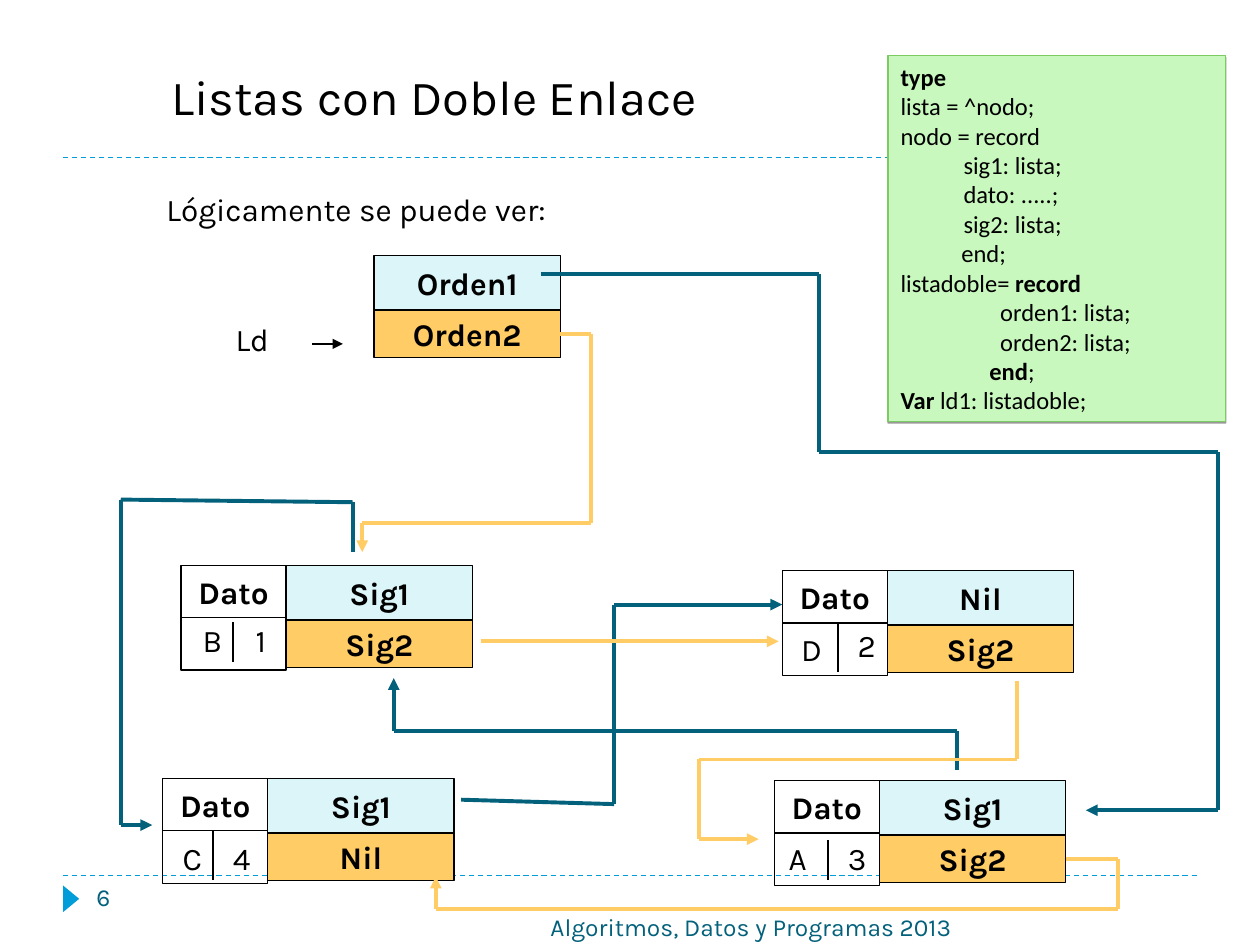
import dataclasses

import lxml.etree
import pptx
import pptx.dml.color
import pptx.enum.dml
import pptx.enum.shapes
import pptx.enum.text
import pptx.oxml.ns
import pptx.util

Pt = pptx.util.Pt
qn = pptx.oxml.ns.qn
ALIGN = pptx.enum.text.PP_ALIGN
ANCHOR = pptx.enum.text.MSO_ANCHOR
SHAPE = pptx.enum.shapes.MSO_SHAPE


@dataclasses.dataclass(frozen=True)
class Theme:
    font: str = "Karla"
    code_font: str = "Calibri"
    black: str = "000000"
    teal: str = "04617B"
    accent: str = "009DD9"
    amber: str = "FFCC66"
    aqua: str = "DBF5F9"
    code_fill: str = "C8F8BE"
    code_edge: str = "7CCA62"
    title: int = 28
    body: int = 18
    small: int = 14
    hairline: float = 0.75
    divider: float = 1
    link: float = 2.25


def rgb(value):
    return pptx.dml.color.RGBColor.from_string(value)


class Painter:
    def __init__(self, page, theme):
        self.page = page
        self.theme = theme

    def add_text(self, frame, paragraphs, size, color=None, align=ALIGN.LEFT, font=None):
        for index, spans in enumerate(paragraphs):
            para = frame.paragraphs[0] if index == 0 else frame.add_paragraph()
            para.alignment = align
            for text, bold in spans:
                span = para.add_run()
                span.text = text
                span.font.name = font or self.theme.font
                span.font.size = Pt(size)
                span.font.bold = bold
                span.font.color.rgb = rgb(color or self.theme.black)

    def title(self, text, left, top, width, height):
        box = self.page.shapes.title
        box.left, box.top, box.width, box.height = map(Pt, (left, top, width, height))
        box.text_frame.auto_size = pptx.enum.text.MSO_AUTO_SIZE.NONE
        box.text_frame.vertical_anchor = ANCHOR.MIDDLE
        self.add_text(box.text_frame, [[(text, False)]], self.theme.title)

    def label(self, text, left, top, width, height=29, size=None, color=None,
              align=ALIGN.LEFT, wrap=True):
        box = self.page.shapes.add_textbox(*map(Pt, (left, top, width, height)))
        box.text_frame.word_wrap = wrap
        self.add_text(box.text_frame, [[(text, False)]], size or self.theme.body, color, align)

    def shape(self, kind, left, top, width, height, fill=None, edge=None):
        box = self.page.shapes.add_shape(kind, *map(Pt, (left, top, width, height)))
        box.shadow.inherit = False
        if fill:
            box.fill.solid()
            box.fill.fore_color.rgb = rgb(fill)
        else:
            box.fill.background()
        if edge:
            box.line.color.rgb = rgb(edge)
            box.line.width = Pt(self.theme.hairline)
        else:
            box.line.fill.background()
        return box

    def cell(self, text, left, top, width, height, fill=None):
        box = self.shape(SHAPE.RECTANGLE, left, top, width, height, fill, self.theme.black)
        if text:
            box.text_frame.word_wrap = False
            box.text_frame.vertical_anchor = ANCHOR.MIDDLE
            self.add_text(box.text_frame, [[(text, True)]], self.theme.body, align=ALIGN.CENTER)

    def pair(self, first, second, left, top):
        self.cell(first, left, top, 106.5, 31.25, self.theme.aqua)
        self.cell(second, left, top + 31.25, 106.5, 27, self.theme.amber)

    def node(self, first, second, left, top):
        self.cell("Dato", left, top, 60, 30)
        self.cell(None, left, top + 30, 60, 30)
        self.pair(first, second, left + 60, top)

    def line(self, start, end, color, width, arrow=False, dashed=False):
        line = self.page.shapes.add_connector(
            pptx.enum.shapes.MSO_CONNECTOR.STRAIGHT, *map(Pt, (*start, *end)))
        line.line.color.rgb = rgb(color)
        line.line.width = Pt(width)
        if dashed:
            line.line.dash_style = pptx.enum.dml.MSO_LINE.DASH
        properties = line._element.spPr
        if arrow:
            outline = properties.find(qn("a:ln"))
            lxml.etree.SubElement(outline, qn("a:tailEnd"), type="triangle")
        lxml.etree.SubElement(properties, qn("a:effectLst"))

    def route(self, points, color):
        last = len(points) - 2
        for index, (start, end) in enumerate(zip(points, points[1:])):
            self.line(start, end, color, self.theme.link, arrow=index == last)

    def code(self, paragraphs, left, top, width, height):
        box = self.shape(SHAPE.RECTANGLE, left, top, width, height,
                         self.theme.code_fill, self.theme.code_edge)
        effects = box._element.spPr.find(qn("a:effectLst"))
        shadow = lxml.etree.SubElement(effects, qn("a:outerShdw"), blurRad="0",
                                       dist=str(int(Pt(1))), dir="5400000", rotWithShape="0")
        tint = lxml.etree.SubElement(shadow, qn("a:srgbClr"), val=self.theme.black)
        lxml.etree.SubElement(tint, qn("a:alpha"), val="40000")
        box.text_frame.word_wrap = True
        box.text_frame.vertical_anchor = ANCHOR.TOP
        self.add_text(box.text_frame, paragraphs, self.theme.small, font=self.theme.code_font)


CODE = [
    [("type", True)],
    [("lista = ^nodo;", False)],
    [("nodo = record", False)],
    [("\tsig1: lista;", False)],
    [("\tdato: .....;", False)],
    [("\tsig2: lista;", False)],
    [("           end;", False)],
    [("listadoble= ", False), ("record", True)],
    [("                  orden1: lista;", False)],
    [("                  orden2: lista;", False)],
    [("                ", False), ("end", True), (";", False)],
    [("Var ", True), ("ld1: listadoble;", False)],
]

NODES = [
    ("Sig1", "Sig2", 103.5, 323),
    ("Nil", "Sig2", 447, 326),
    ("Sig1", "Nil", 93, 444.75),
    ("Sig1", "Sig2", 442.5, 446),
]

VALUES = [
    ("B", 108.75, 351.5, "1", 139, 351.5, 133.25, 355.5, 378),
    ("D", 450.75, 356.5, "2", 483, 354, 479, 355.5, 384),
    ("C", 97.25, 476, "4", 126, 476, 121.75, 474.5, 503),
    ("A", 443.5, 476, "3", 477.5, 476, 473, 480, 503),
]

AMBER_LINKS = [
    [(309, 191), (337.5, 191), (337.5, 299), (207, 299), (207, 315.5)],
    [(275, 366.5), (445, 366.5)],
    [(609, 491), (639, 491), (639, 519.5), (249, 519.5), (249, 501)],
    [(581, 389), (581, 434), (399.5, 434), (399.5, 479.5), (433.5, 479.5)],
]

TEAL_LINKS = [
    [(309, 156.5), (468, 156.5), (468, 258.5), (696, 258.5), (696, 463), (620.5, 463)],
    [(547, 440), (547, 417.5), (225, 417.5), (225, 387.5)],
    [(201.5, 315.5), (201.5, 287), (69, 285.5), (69, 471.5), (87, 471.5)],
    [(263.5, 457), (351, 459.5), (351, 345.5), (447, 345.5)],
]


def main():
    theme = Theme()
    deck = pptx.Presentation()
    deck.slide_width, deck.slide_height = Pt(720), Pt(540)
    page = deck.slides.add_slide(deck.slide_layouts[5])
    painter = Painter(page, theme)

    for height in (500.5, 90):
        painter.line((36, height), (684, height), theme.accent, theme.hairline, dashed=True)
    marker = painter.shape(SHAPE.ISOSCELES_TRIANGLE, 33, 509, 15.25, 9.25, theme.accent)
    marker.rotation = 90
    painter.title("Listas con Doble Enlace", 90.75, 16.5, 613.5, 77)
    painter.label("Algoritmos, Datos y Programas 2013", 224, 517.5, 327, 36,
                  theme.small, theme.teal, ALIGN.RIGHT)
    painter.label("6", 48, 500.5, 156, 29, theme.small, theme.teal)
    painter.label("Lógicamente se puede ver:", 88, 105, 516)
    painter.label("Ld", 127.5, 179.5, 57)
    painter.line((178.5, 196.5), (196, 196.5), theme.black, theme.hairline, arrow=True)

    painter.pair("Orden1", "Orden2", 213.75, 146)
    for node in NODES:
        painter.node(*node)
    for letter, x, y, number, number_x, number_y, divider, top, bottom in VALUES:
        painter.label(letter, x, y, 26, wrap=False)
        painter.label(number, number_x, number_y, 24.5, wrap=False)
        painter.line((divider, top), (divider, bottom), theme.black, theme.divider)

    painter.code(CODE, 507.5, 31.75, 193, 209)
    for links, color in ((TEAL_LINKS, theme.teal), (AMBER_LINKS, theme.amber)):
        for points in links:
            painter.route(points, color)

    deck.save("out.pptx")


if __name__ == "__main__":
    main()
